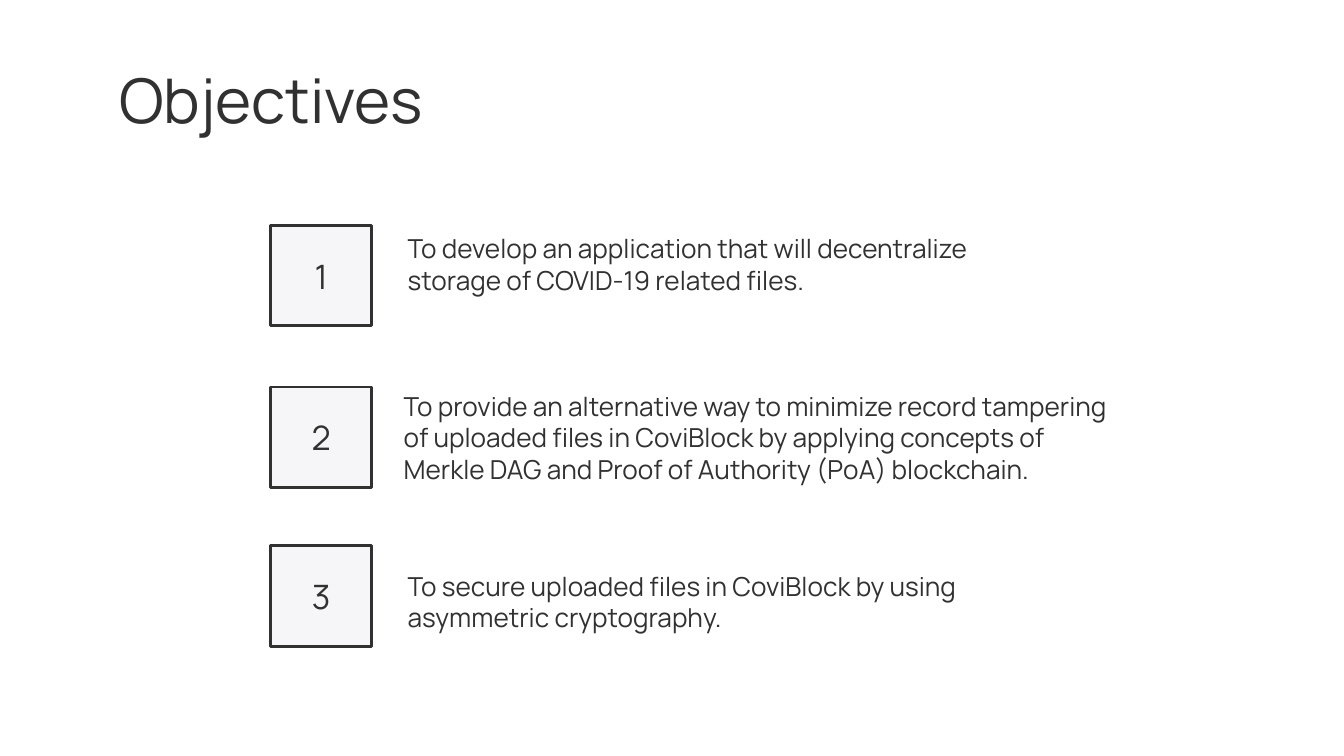
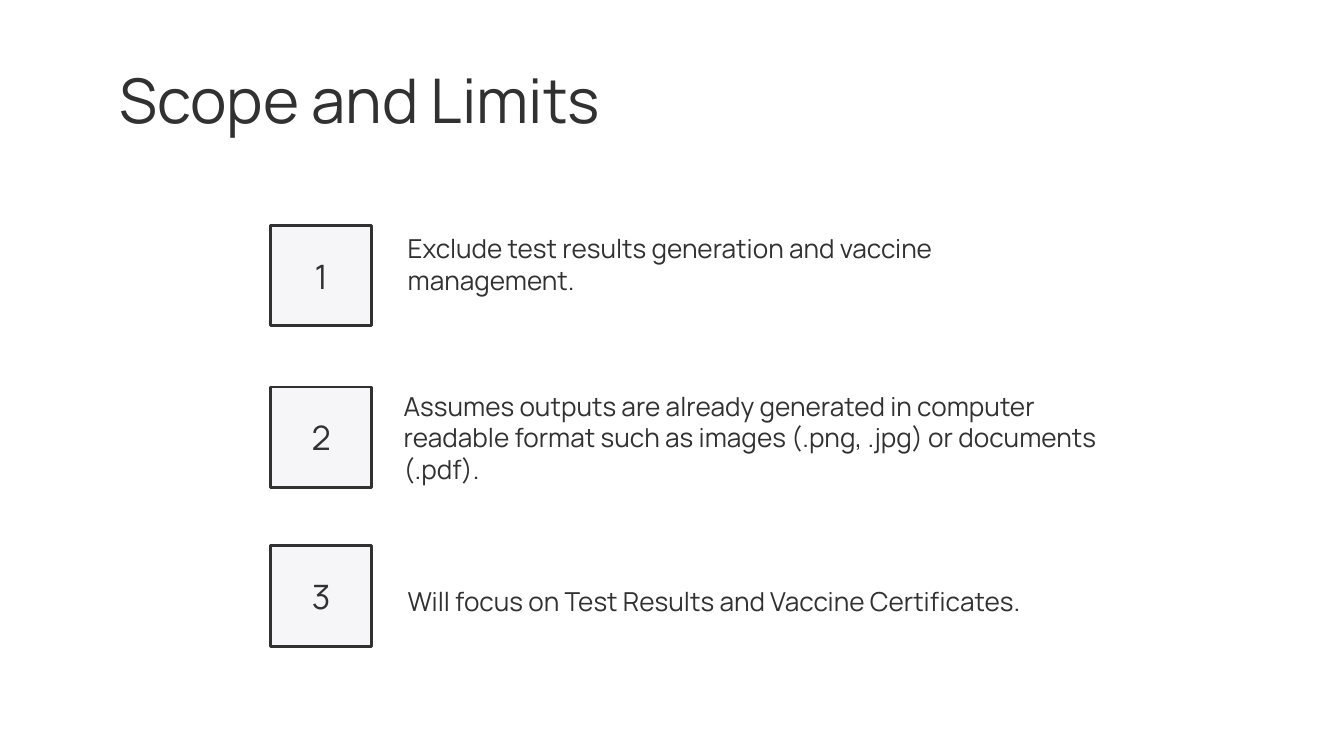
from pptx import Presentation
from pptx import util as u
from pptx.dml.color import RGBColor
from pptx.enum import shapes, text

PX = 4572
INK = RGBColor(0x31, 0x31, 0x31)
PALE = RGBColor(0xF6, 0xF6, 0xF8)
WHITE = RGBColor(0xFF, 0xFF, 0xFF)
FONT = "Manrope"
INSET = 20

TITLE_PLACE = (158, 84, 1388, 126)
NUMBER_LEFT, NUMBER_SIDE = 403, 150
NUMBER_TOPS = (335, 576, 812)
STATEMENT_PLACES = ((587, 287, 964, 212), (581, 543, 1100, 216), (587, 813, 1010, 164))

CONTENT = {
    "Objectives": (
        "To develop an application that will decentralize storage of COVID-19 related files.",
        "To provide an alternative way to minimize record tampering of uploaded files in "
        "CoviBlock by applying concepts of Merkle DAG and Proof of Authority (PoA) blockchain.",
        "To secure uploaded files in CoviBlock by using asymmetric cryptography.",
    ),
    "Scope and Limits": (
        "Exclude test results generation and vaccine management.",
        "Assumes outputs are already generated in computer readable format such as images "
        "(.png, .jpg) or documents (.pdf).",
        "Will focus on Test Results and Vaccine Certificates.",
    ),
}


def write(frame, wording, size=14, align=text.PP_ALIGN.LEFT, color=INK):
    frame.word_wrap = True
    frame.vertical_anchor = text.MSO_ANCHOR.MIDDLE
    frame.margin_left = frame.margin_right = INSET * PX
    frame.margin_top = frame.margin_bottom = INSET * PX
    paragraph = frame.paragraphs[0]
    paragraph.alignment = align
    run = paragraph.add_run()
    run.text = wording
    run.font.name = FONT
    run.font.size = u.Pt(size)
    run.font.color.rgb = color


class Deck:
    """Holds the presentation style and the slide being filled."""

    def __init__(self, width, height):
        self.show = Presentation()
        self.show.slide_width = width * PX
        self.show.slide_height = height * PX
        self.slide = None

    def new_slide(self):
        self.slide = self.show.slides.add_slide(self.show.slide_layouts[6])
        background = self.slide.background.fill
        background.solid()
        background.fore_color.rgb = WHITE

    def label(self, place, wording, **style):
        box = self.slide.shapes.add_textbox(*(n * PX for n in place))
        write(box.text_frame, wording, **style)

    def number(self, top, wording):
        place = (NUMBER_LEFT, top, NUMBER_SIDE, NUMBER_SIDE)
        square = self.slide.shapes.add_shape(
            shapes.MSO_SHAPE.RECTANGLE, *(n * PX for n in place))
        square.shadow.inherit = False
        square.fill.solid()
        square.fill.fore_color.rgb = PALE
        square.line.color.rgb = INK
        square.line.width = u.Pt(1.5)
        write(square.text_frame, wording, size=18, align=text.PP_ALIGN.CENTER)


def main():
    deck = Deck(2000, 1125)
    for title, statements in CONTENT.items():
        deck.new_slide()
        for place, statement in zip(STATEMENT_PLACES, statements):
            deck.label(place, statement)
        for order, top in enumerate(NUMBER_TOPS, 1):
            deck.number(top, str(order))
        deck.label(TITLE_PLACE, title, size=33)
    deck.show.save("out.pptx")


if __name__ == "__main__":
    main()
